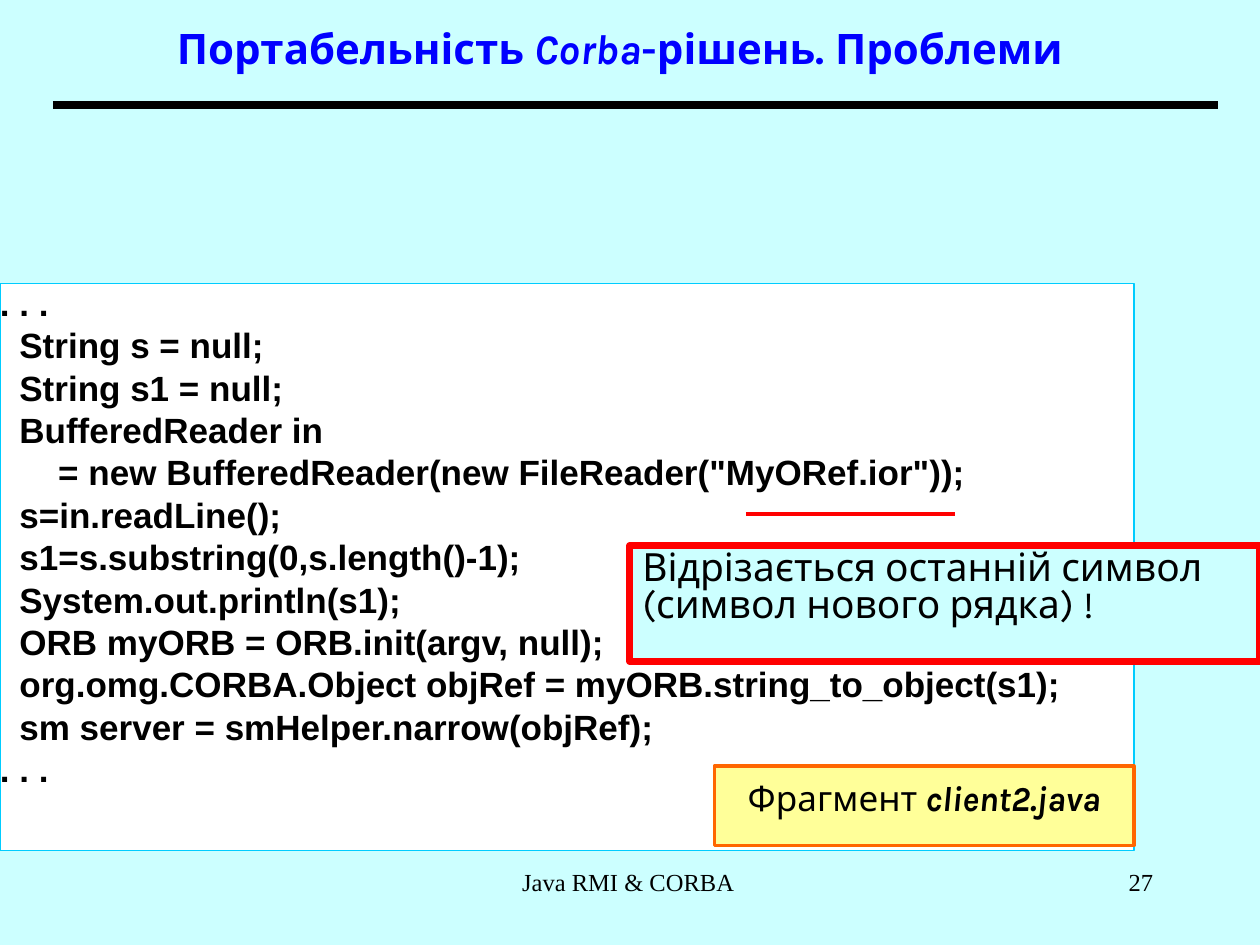
from dataclasses import dataclass

from pptx import Presentation
from pptx.dml.color import RGBColor
from pptx.enum.shapes import MSO_CONNECTOR as Connector, MSO_SHAPE as Shape
from pptx.enum.text import MSO_ANCHOR as Anchor, MSO_AUTO_SIZE as AutoSize, PP_ALIGN as Align
from pptx.oxml.ns import qn
from pptx.oxml.xmlchemy import OxmlElement
from pptx.util import Inches, Pt


@dataclass(frozen=True)
class Theme:
    background: str = "CCFFFF"
    title: str = "0000FF"
    text: str = "000000"
    code_fill: str = "FFFFFF"
    code_line: str = "00CCFF"
    label_fill: str = "FFFF99"
    label_line: str = "FF6600"
    alert: str = "FF0000"
    font: str = "Karla"
    code_font: str = "Arial"
    footer_font: str = "Times New Roman"
    title_size: float = 24
    note_size: float = 22.2
    body_size: float = 20
    footer_size: float = 14


@dataclass(frozen=True)
class Box:
    left: float
    top: float
    width: float
    height: float

    def lengths(self):
        return [Inches(value) for value in (self.left, self.top, self.width, self.height)]


@dataclass(frozen=True)
class Panel:
    box: Box
    fill: str
    line: str
    line_width: float


@dataclass(frozen=True)
class Rule:
    left: float
    right: float
    top: float
    color: str
    width: float


@dataclass(frozen=True)
class Run:
    text: str
    bold: bool = False
    italic: bool = False


THEME = Theme()

CODE = """. . .
  String s = null;
  String s1 = null;
  BufferedReader in
      = new BufferedReader(new FileReader("MyORef.ior"));
  s=in.readLine();
  s1=s.substring(0,s.length()-1);
  System.out.println(s1);
  ORB myORB = ORB.init(argv, null);
  org.omg.CORBA.Object objRef = myORB.string_to_object(s1);
  sm server = smHelper.narrow(objRef);
. . ."""

CODE_PANEL = Panel(Box(0, 2.25, 9, 4.5), THEME.code_fill, THEME.code_line, 1)
LABEL_PANEL = Panel(Box(5.67, 6.08, 3.33, 0.63), THEME.label_fill, THEME.label_line, 2)
NOTE_PANEL = Panel(Box(5, 4.33, 5, 0.92), THEME.background, THEME.alert, 4)
FILE_UNDERLINE = Rule(5.92, 7.58, 4.08, THEME.alert, 2.25)
TITLE_RULE = Rule(0.42, 9.67, 0.83, THEME.text, 4.5)


def write_text(shape, lines: list[list[Run]], *, size: float, font=THEME.font,
               color=THEME.text, align=Align.LEFT, anchor=Anchor.TOP,
               inset=0.1, line_spacing=1.0, space_before=0):
    frame = shape.text_frame
    frame.word_wrap = True
    frame.auto_size = AutoSize.NONE
    frame.vertical_anchor = anchor
    frame.margin_left = frame.margin_right = Inches(inset)
    frame.margin_top = frame.margin_bottom = Inches(0.05)
    for index, runs in enumerate(lines):
        paragraph = frame.add_paragraph() if index else frame.paragraphs[0]
        paragraph.alignment = align
        paragraph.line_spacing = line_spacing
        paragraph.space_before = Pt(space_before if index else 0)
        for piece in runs:
            run = paragraph.add_run()
            run.text = piece.text
            run.font.name = font
            run.font.size = Pt(size)
            run.font.bold = piece.bold
            run.font.italic = piece.italic
            run.font.color.rgb = RGBColor.from_string(color)


def add_panel(slide, panel: Panel):
    shape = slide.shapes.add_shape(Shape.RECTANGLE, *panel.box.lengths())
    shape.shadow.inherit = False
    shape.fill.solid()
    shape.fill.fore_color.rgb = RGBColor.from_string(panel.fill)
    shape.line.color.rgb = RGBColor.from_string(panel.line)
    shape.line.width = Pt(panel.line_width)
    return shape


def add_rule(slide, rule: Rule):
    connector = slide.shapes.add_connector(
        Connector.STRAIGHT, Inches(rule.left), Inches(rule.top),
        Inches(rule.right), Inches(rule.top))
    connector.line.color.rgb = RGBColor.from_string(rule.color)
    connector.line.width = Pt(rule.width)
    connector._element.find(qn("p:spPr")).append(OxmlElement("a:effectLst"))


def add_footer(slide, text: str, box: Box, align: Align):
    write_text(slide.shapes.add_textbox(*box.lengths()), [[Run(text)]],
               size=THEME.footer_size, font=THEME.footer_font, align=align)


def main():
    presentation = Presentation()
    presentation.slide_width = Inches(10)
    presentation.slide_height = Inches(7.5)
    slide = presentation.slides.add_slide(presentation.slide_layouts[5])
    slide.background.fill.solid()
    slide.background.fill.fore_color.rgb = RGBColor.from_string(THEME.background)

    title = slide.shapes.title
    title.left, title.top, title.width, title.height = Box(0.67, 0, 8.5, 0.75).lengths()
    write_text(title, [[Run("Портабельність ", bold=True),
                        Run("Corba", bold=True, italic=True),
                        Run("-рішень. Проблеми", bold=True)]],
               size=THEME.title_size, color=THEME.title,
               align=Align.CENTER, anchor=Anchor.MIDDLE)

    write_text(add_panel(slide, CODE_PANEL),
               [[Run(line, bold=True)] for line in CODE.splitlines()],
               size=THEME.body_size, font=THEME.code_font, inset=0,
               line_spacing=0.8, space_before=5)
    write_text(add_panel(slide, LABEL_PANEL),
               [[Run("Фрагмент "), Run("client2.java", bold=True, italic=True)]],
               size=THEME.body_size, align=Align.CENTER, inset=0, line_spacing=1.1)
    add_rule(slide, FILE_UNDERLINE)
    write_text(add_panel(slide, NOTE_PANEL),
               [[Run("Відрізається останній символ (символ нового рядка) !")]],
               size=THEME.note_size, line_spacing=0.8)
    add_rule(slide, TITLE_RULE)

    add_footer(slide, "Java RMI & CORBA ", Box(3.42, 6.83, 3.17, 0.5), Align.CENTER)
    add_footer(slide, "27", Box(7.17, 6.83, 2.08, 0.5), Align.RIGHT)
    presentation.save("out.pptx")


if __name__ == "__main__":
    main()
